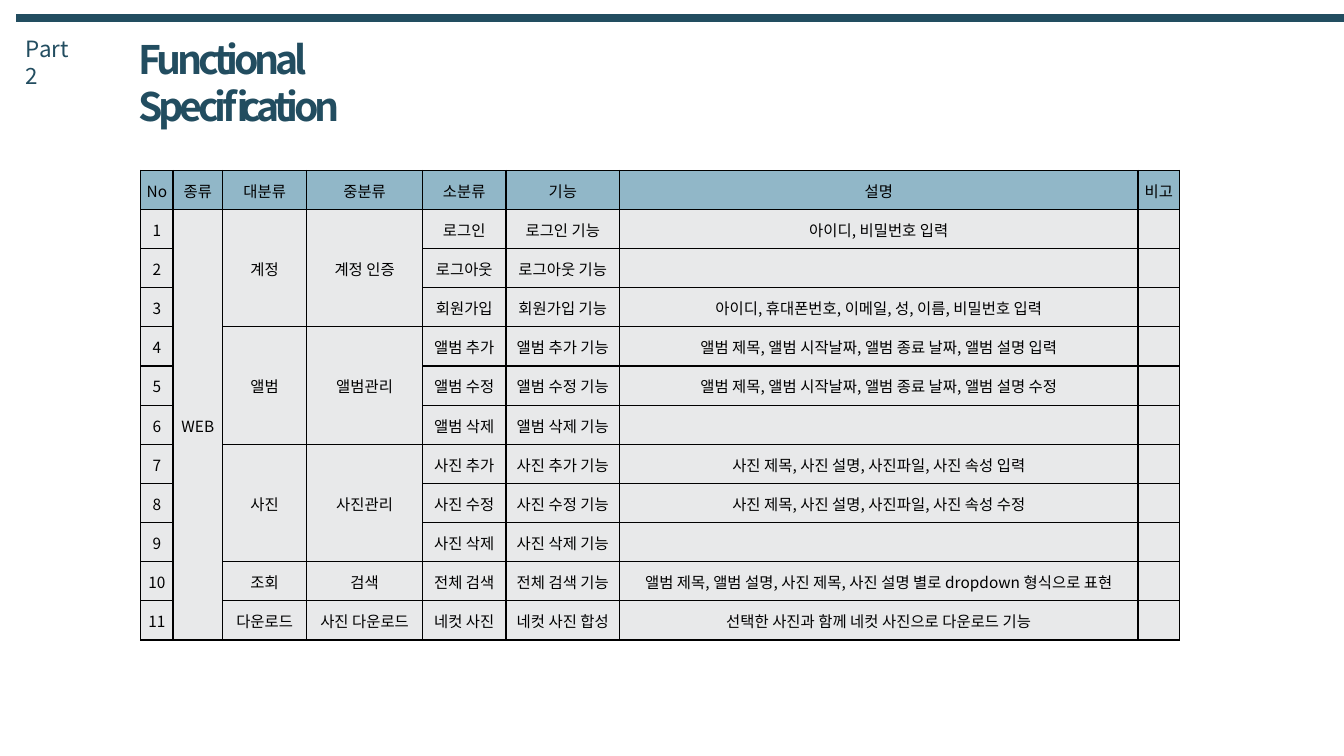
from lxml.etree import SubElement
from pptx import Presentation
from pptx.dml.color import RGBColor
from pptx.enum.shapes import MSO_CONNECTOR
from pptx.enum.text import MSO_ANCHOR, MSO_AUTO_SIZE, PP_ALIGN
from pptx.oxml import parse_xml
from pptx.oxml.ns import nsdecls, qn
from pptx.util import Pt

FONT = "Noto Sans CJK KR"
NAVY, HEAD, BODY, BLACK = "224D60", "91B7C8", "E8E9EA", "000000"


def rgb(value):
    return RGBColor.from_string(value)


def add_run(p, text, size, color, bold=False):
    r = p.add_run()
    r.text = text
    r.font.size = Pt(size)
    r.font.bold = bold
    r.font.name = FONT
    r.font.color.rgb = rgb(color)
    SubElement(r.font._element, qn("a:ea")).set("typeface", FONT)
    return r


prs = Presentation()
prs.slide_width, prs.slide_height = Pt(960), Pt(540)
s = prs.slides.add_slide(prs.slide_layouts[5])

# Top rule
rule = s.shapes.add_connector(MSO_CONNECTOR.STRAIGHT, Pt(11.5), Pt(12.7), Pt(961), Pt(12.7))
rule.line.color.rgb = rgb(NAVY)
rule.line.width = Pt(6)
SubElement(rule._element.spPr, qn("a:effectLst"))

# Part label and title
label = s.shapes.add_textbox(Pt(11.5), Pt(21.6), Pt(53.3), Pt(26.6))
title = s.shapes.title
title.left, title.top, title.width, title.height = Pt(91.8), Pt(21.6), Pt(221.8), Pt(41)
for sp, text, size, bold in ((label, "Part 2", 16, False),
                             (title, "Functional Specification", 28, True)):
    tf = sp.text_frame
    tf.word_wrap = True
    tf.auto_size = MSO_AUTO_SIZE.SHAPE_TO_FIT_TEXT
    tf.vertical_anchor = MSO_ANCHOR.TOP
    p = tf.paragraphs[0]
    p.alignment = PP_ALIGN.LEFT
    r = add_run(p, text, size, NAVY, bold)
r.font._element.set("spc", "-300")

# Table content: an empty string under a merged cell belongs to the merge
rows = [
    ("No", "종류", "대분류", "중분류", "소분류", "기능", "설명", "비고"),
    ("1", "WEB", "계정", "계정 인증", "로그인", "로그인 기능", "아이디, 비밀번호 입력", ""),
    ("2", "", "", "", "로그아웃", "로그아웃 기능", "", ""),
    ("3", "", "", "", "회원가입", "회원가입 기능",
     "아이디, 휴대폰번호, 이메일, 성, 이름, 비밀번호 입력", ""),
    ("4", "", "앨범", "앨범관리", "앨범 추가", "앨범 추가 기능",
     "앨범 제목, 앨범 시작날짜, 앨범 종료 날짜, 앨범 설명 입력", ""),
    ("5", "", "", "", "앨범 수정", "앨범 수정 기능",
     "앨범 제목, 앨범 시작날짜, 앨범 종료 날짜, 앨범 설명 수정", ""),
    ("6", "", "", "", "앨범 삭제", "앨범 삭제 기능", "", ""),
    ("7", "", "사진", "사진관리", "사진 추가", "사진 추가 기능",
     "사진 제목, 사진 설명, 사진파일, 사진 속성 입력", ""),
    ("8", "", "", "", "사진 수정", "사진 수정 기능",
     "사진 제목, 사진 설명, 사진파일, 사진 속성 수정", ""),
    ("9", "", "", "", "사진 삭제", "사진 삭제 기능", "", ""),
    ("10", "", "조회", "검색", "전체 검색", "전체 검색 기능",
     "앨범 제목, 앨범 설명, 사진 제목, 사진 설명 별로 dropdown 형식으로 표현", ""),
    ("11", "", "다운로드", "사진 다운로드", "네컷 사진", "네컷 사진 합성",
     "선택한 사진과 함께 네컷 사진으로 다운로드 기능", ""),
]
widths = [23, 35.5, 60, 82.8, 59.6, 81.2, 370.2, 30]
row_height = 27.95

# Table frame
frame = s.shapes.add_table(len(rows), len(widths), Pt(100.6), Pt(121.7),
                           Pt(sum(widths)), Pt(row_height * len(rows)))
table = frame.table
table.first_row = table.horz_banding = False
for column, width in zip(table.columns, widths):
    column.width = Pt(width)
for row in table.rows:
    row.height = Pt(row_height)

# Cells
for i, row in enumerate(rows):
    for j, text in enumerate(row):
        cell = table.cell(i, j)
        cell.margin_left = cell.margin_right = cell.margin_top = Pt(0.7)
        cell.margin_bottom = 0
        cell.vertical_anchor = MSO_ANCHOR.MIDDLE
        cell.fill.solid()
        cell.fill.fore_color.rgb = rgb(BODY if i else HEAD)
        p = cell.text_frame.paragraphs[0]
        p.alignment = PP_ALIGN.CENTER
        if text:
            add_run(p, text, 11, BLACK)
        for k, side in enumerate(("lnL", "lnR", "lnT", "lnB")):
            cell._tc.tcPr.insert(k, parse_xml(
                f'<a:{side} {nsdecls("a")} w="{Pt(1)}"><a:solidFill>'
                f'<a:srgbClr val="{BLACK}"/></a:solidFill></a:{side}>'))

# Merged groups
table.cell(1, 1).merge(table.cell(11, 1))
for top in (1, 4, 7):
    for col in (2, 3):
        table.cell(top, col).merge(table.cell(top + 2, col))

prs.save("out.pptx")
